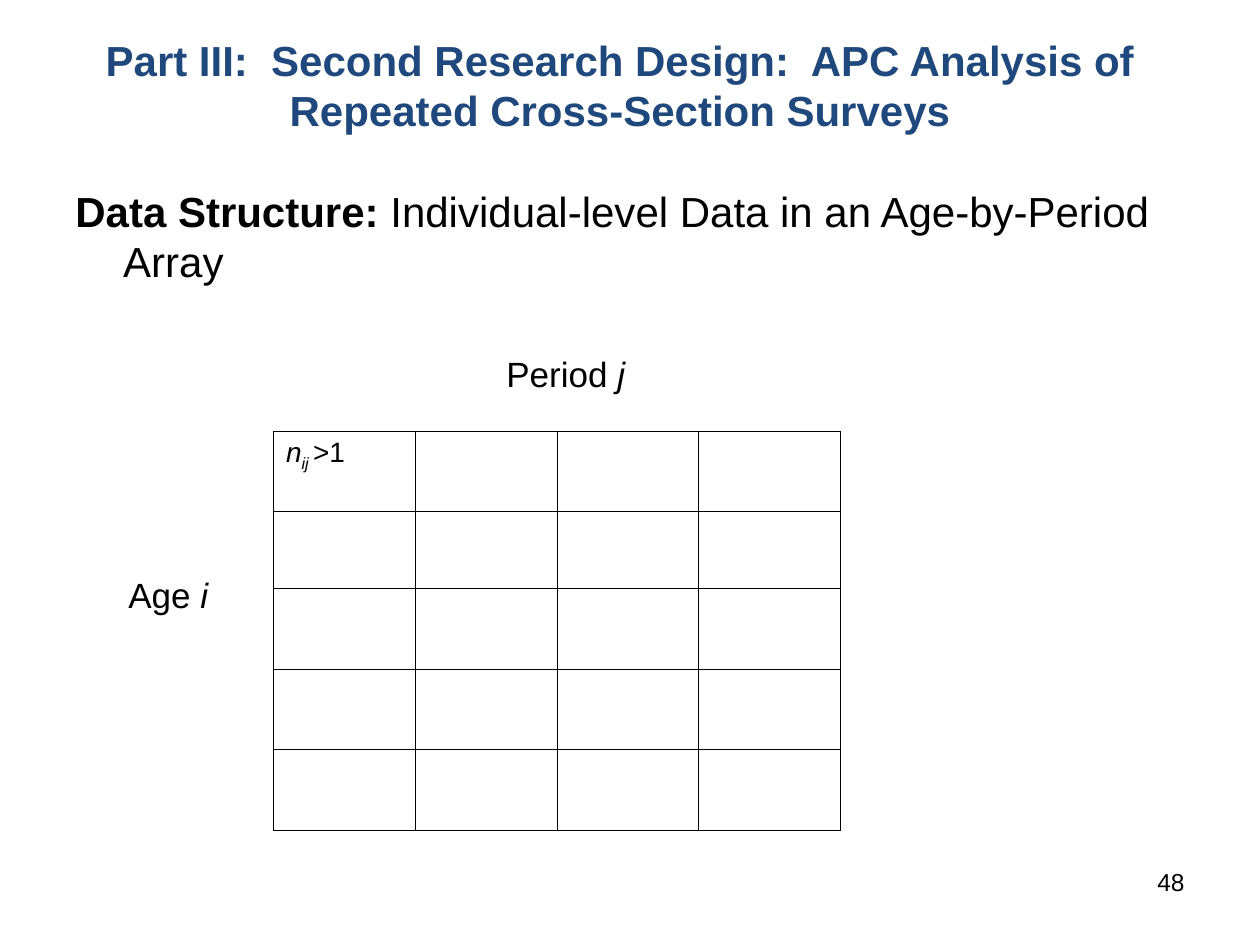
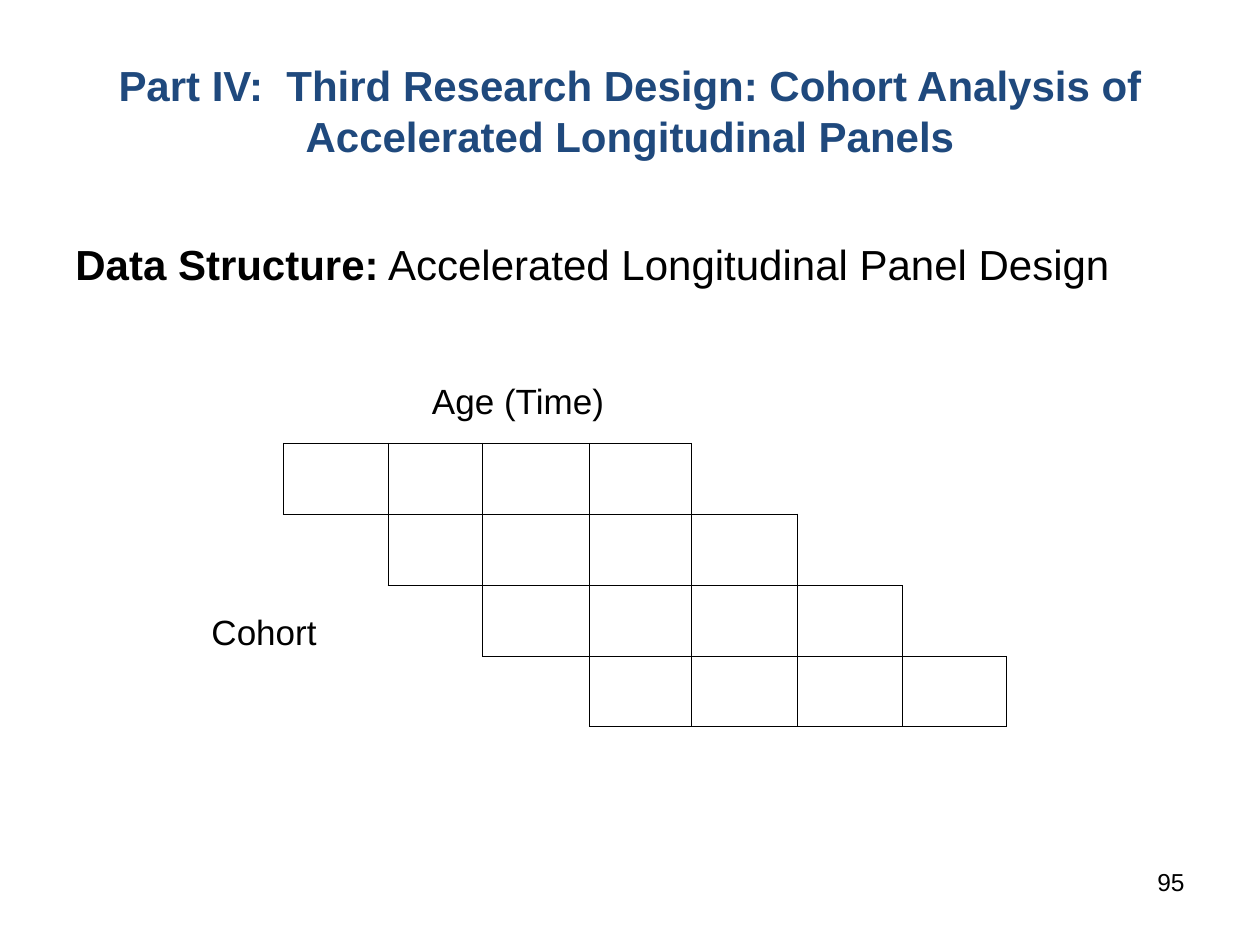
from lxml.etree import SubElement
from pptx import Presentation
from pptx.dml.color import RGBColor
from pptx.enum.text import MSO_ANCHOR, MSO_AUTO_SIZE, PP_ALIGN
from pptx.oxml.ns import qn
from pptx.util import Inches, Pt

FONT = "Arial"
INK, NAVY, WHITE = "000000", "1F497D", "FFFFFF"


def color(code):
    return RGBColor.from_string(code)


def write(para, parts, size, code=INK):
    """Add (text, style) runs; style holds b for bold, i for italic, s for subscript."""
    for text, style in parts:
        run = para.add_run()
        run.text = text
        font = run.font
        font.name, font.size = FONT, Pt(size)
        font.color.rgb = color(code)
        font.bold, font.italic = "b" in style, "i" in style
        if "s" in style:
            run._r.get_or_add_rPr().set("baseline", "-25000")


def add_text(slide, box, parts, size, before=0, align=PP_ALIGN.LEFT):
    frame = slide.shapes.add_textbox(*map(Inches, box)).text_frame
    frame.word_wrap = True
    para = frame.paragraphs[0]
    para.alignment, para.space_before = align, Pt(before)
    write(para, parts, size)
    return para


def add_label(slide, box, parts):
    add_text(slide, box, parts, 20, before=12.5)


def add_lead(slide, box, text):
    parts = [("Data Structure:", "b"), (" " + text, "")]
    para = add_text(slide, box, parts, 24, before=6)
    props = para._p.get_or_add_pPr()
    props.set("marL", str(Inches(0.38)))
    props.set("indent", str(-Inches(0.38)))


def add_page(deck, title, box, number):
    """Add a slide with its title and page number."""
    slide = deck.slides.add_slide(deck.slide_layouts[5])
    head = slide.shapes.title
    head.left, head.top, head.width, head.height = map(Inches, box)
    frame = head.text_frame
    frame.auto_size = MSO_AUTO_SIZE.NONE
    frame.vertical_anchor = MSO_ANCHOR.MIDDLE
    frame.paragraphs[0].alignment = PP_ALIGN.CENTER
    write(frame.paragraphs[0], [(title, "b")], 24, NAVY)
    add_text(slide, (7.17, 6.83, 2.33, 0.52), [(number, "")], 14,
             align=PP_ALIGN.RIGHT)
    return slide


def add_edge(cell, side, width, drawn):
    line = SubElement(cell._tc.get_or_add_tcPr(), qn("a:ln" + side), w=str(Pt(width)))
    if drawn:
        fill = SubElement(line, qn("a:solidFill"))
        SubElement(fill, qn("a:srgbClr"), val=INK)
    else:
        SubElement(line, qn("a:noFill"))


def add_grid(slide, left, top, cols, rows, width, used):
    """Draw a table whose used cells, a set of (row, column), are white and framed."""
    frame = slide.shapes.add_table(len(rows), len(cols), Inches(left), Inches(top),
                                   Inches(sum(cols)), Inches(sum(rows)))
    table = frame.table
    table.first_row = table.horz_banding = False
    for col, size in zip(table.columns, cols):
        col.width = Inches(size)
    for row, size in zip(table.rows, rows):
        row.height = Inches(size)
    sides = {"L": (0, -1), "R": (0, 1), "T": (-1, 0), "B": (1, 0)}
    for r in range(len(rows)):
        for c in range(len(cols)):
            cell = table.cell(r, c)
            for side, (down, right) in sides.items():
                drawn = (r, c) in used or (r + down, c + right) in used
                add_edge(cell, side, width, drawn)
            if (r, c) in used:
                cell.fill.solid()
                cell.fill.fore_color.rgb = color(WHITE)
            else:
                cell.fill.background()
    return table


def add_survey(deck):
    slide = add_page(deck, "Part III:  Second Research Design:  APC Analysis of "
                     "Repeated Cross-Section Surveys", (0.42, 0.17, 9, 1), "48")
    add_lead(slide, (0.5, 1.42, 9, 5.67), "Individual-level Data in an Age-by-Period Array")
    add_label(slide, (3.92, 2.75, 1.5, 0.44), [("Period ", ""), ("j", "i")])
    add_label(slide, (0.92, 4.5, 1.08, 0.44), [("Age ", ""), ("i", "i")])
    cols, rows = [1.125] * 4, [0.64, 0.61] + [0.64] * 3
    used = {(r, c) for r in range(len(rows)) for c in range(len(cols))}
    table = add_grid(slide, 2.17, 3.42, cols, rows, 0.45, used)
    para = table.cell(0, 0).text_frame.paragraphs[0]
    para.space_before = Pt(4)
    write(para, [("n", "i"), ("ij ", "is"), (">1", "")], 16)


def add_panel(deck):
    slide = add_page(deck, "Part IV:  Third Research Design: Cohort Analysis of "
                     "Accelerated Longitudinal Panels", (0.5, 0.25, 9, 1.25), "95")
    cols = [0.83, 0.75, 0.85, 0.81, 0.84, 0.83, 0.83]
    rows, span = [0.56, 0.57, 0.56, 0.56], 4
    used = {(r, r + step) for r in range(len(rows)) for step in range(span)}
    add_grid(slide, 2.25, 3.52, cols, rows, 0.75, used)
    add_label(slide, (1.58, 4.8, 1.42, 0.44), [("Cohort", "")])
    add_label(slide, (3.33, 2.96, 2.08, 0.44), [("Age (Time)", "")])
    add_lead(slide, (0.5, 1.84, 8.5, 4.82), "Accelerated Longitudinal Panel Design")


def main():
    deck = Presentation()
    deck.slide_width, deck.slide_height = Inches(10), Inches(7.5)
    add_survey(deck)
    add_panel(deck)
    deck.save("out.pptx")


if __name__ == "__main__":
    main()
